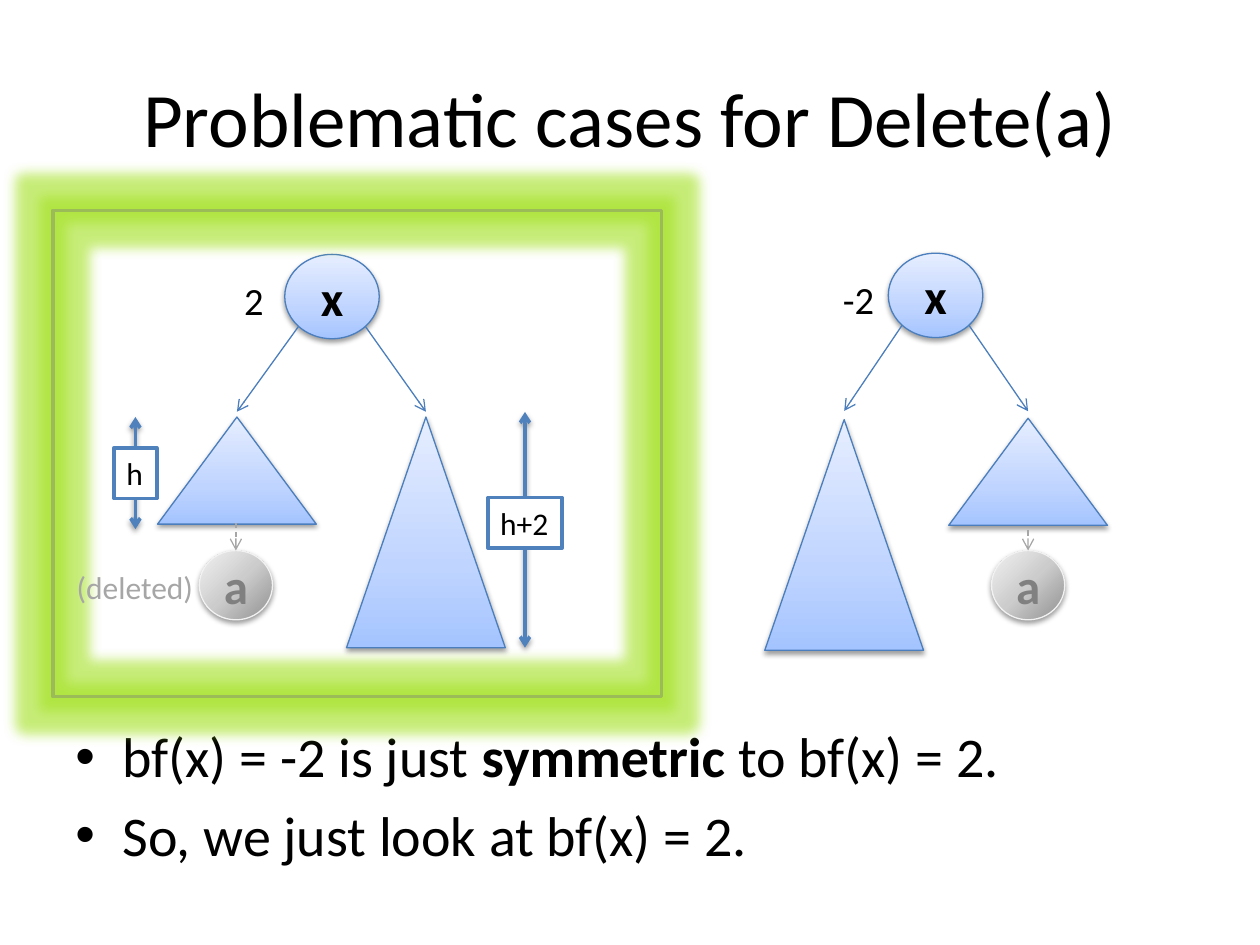
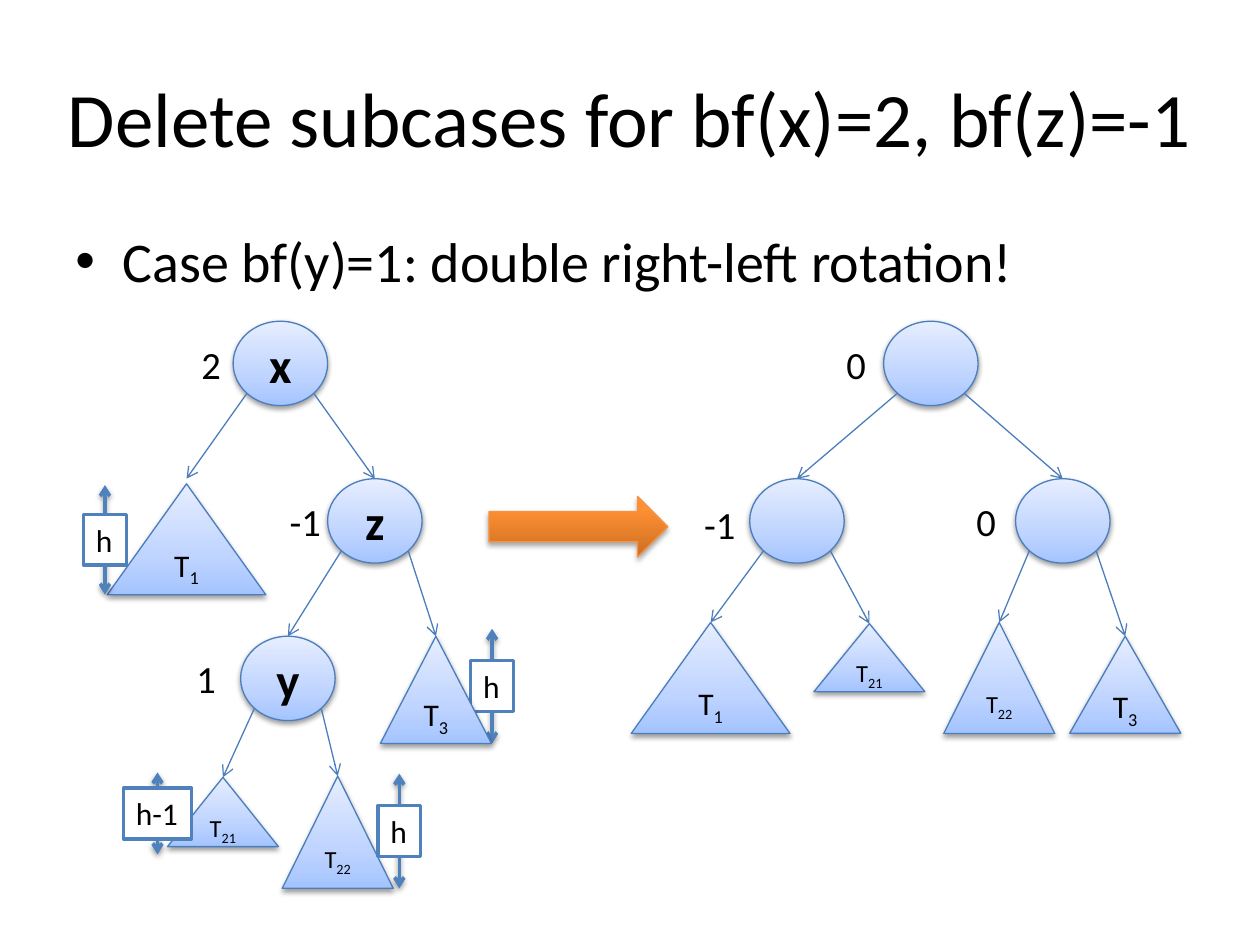
"""Build two slides on deletion cases in balanced search trees."""
from pptx import Presentation, oxml, util as u
from pptx.dml.color import RGBColor
from pptx.enum import dml, shapes, text

FONT = "Calibri"
HUES = {"ink": "000000", "paper": "FFFFFF", "edge": "4B7EBC", "bar": "4F81BD",
        "frame": "9BBB59", "glow": "A3E121", "rim": "F2F2F2", "gone": "808080",
        "faint": "A6A6A6", "arrow": "F69240"}
FADES = {"blue": (270, [(0, "A4C4FF"), (35, "BFD4FF"), (100, "E6EEFF")]),
         "grey": (225, [(0, "909090"), (50, "CCCCCC"), (100, "F2F2F2")]),
         "orange": (270, [(0, "CC6E20"), (80, "FF9034"), (100, "FF9136")])}
NODE = (54, 48.2)
GHOST = (41.8, 39.6)
CORNER = 0.1465
WIDE, SLIM = 90.7, 63.4
BOX = 29

DECK = [
    {"title": "Problematic cases for Delete(a)", "span": 648, "top": 409,
     "body": [[("bf(x) = -2 is just ", False), ("symmetric", True), (" to bf(x) = 2.", False)],
              [("So, we just look at bf(x) = 2.", False)]],
     "parts": [
         ("node", "x", 189.7, 145.4, "x"),
         ("tree", "tall", 243.4, 238.3, WIDE, 131.8),
         ("tree", "low", 135.4, 238.3, WIDE, 61.2),
         ("label", "2", 132.5, 154.8, 25.9),
         ("edge", "x", "low", 3),
         ("edge", "x", "tall", 3),
         ("bar", "h+2", 300, 235.4, 370.1, 42.5, -4),
         ("bar", "h", 77.4, 238.3, 302.4, 24.5),
         ("node", "x2", 534.6, 144.7, "x"),
         ("tree", "tall2", 482.4, 239.8, WIDE, 131.8),
         ("label", "-2", 474.5, 154.1, 32.4),
         ("tree", "low2", 587.5, 239, WIDE, 61.2),
         ("edge", "x2", "tall2", 5),
         ("edge", "x2", "low2", 4),
         ("frame", 30.2, 120.2, 347.8, 277.9),
         ("ghost", "a", 134.8, 314.6, 298.8),
         ("ghost", "a", 587.5, 314.6, 303.1),
         ("label", "(deleted)", 36.7, 321.1, 90, 18, "faint", True)]},
    {"title": "Delete subcases for bf(x)=2, bf(z)=-1", "span": 684, "top": 126,
     "body": [[("Case bf(y)=1: double right-left rotation!", False)]],
     "parts": [
         ("node", "x", 160.2, 183.6, "x"),
         ("tree", "T1", 106.6, 276.5, WIDE, 63.4, "1"),
         ("node", "z", 214.2, 273.6, "z"),
         ("label", "2", 108, 191.5, 25.9),
         ("edge", "x", "T1", 3),
         ("edge", "x", "z"),
         ("bar", "h", 281.2, 359.3, 424.8, 24.5),
         ("bar", "h", 60, 277.2, 339.8, 24.5),
         ("label", "-1", 158.4, 280.8, 32.4),
         ("tree", "T3", 249.1, 363.6, SLIM, 61.2, "3"),
         ("node", "y", 164.5, 363.6, "y"),
         ("edge", "z", "y"),
         ("edge", "z", "T3"),
         ("tree", "T22", 193, 443.5, SLIM, 64.1, "22", 14),
         ("tree", "T21", 127.4, 444.2, SLIM, 39.6, "21", 14),
         ("edge", "y", "T21"),
         ("edge", "y", "T22"),
         ("label", "1", 105.1, 370.8, 25.9),
         ("bar", "h", 228.2, 442.1, 507.6, 24.5),
         ("bar", "h-1", 90, 441.4, 488.2, 38.9),
         ("node", "root", 531.9, 183.6),
         ("node", "left", 455.4, 273.6),
         ("node", "right", 607.3, 273.6),
         ("tree", "T1b", 406.1, 355.7, WIDE, 63.4, "1"),
         ("tree", "T21b", 496.8, 356.4, SLIM, 38.9, "21", 14),
         ("tree", "T22b", 571, 355.7, SLIM, 63.4, "22", 14),
         ("tree", "T3b", 643, 363.6, SLIM, 55.4, "3"),
         ("edge", "root", "left"),
         ("edge", "root", "right"),
         ("edge", "left", "T1b"),
         ("edge", "left", "T21b"),
         ("edge", "right", "T22b"),
         ("edge", "right", "T3b"),
         ("label", "0", 476.6, 191.5, 25.9),
         ("label", "0", 550.8, 280.8, 25.9),
         ("label", "-1", 395.3, 283, 32.4),
         ("arrow", 279.4, 283.7, 102.2, 34.6)]},
]


def rgb(hue):
    return RGBColor.from_string(HUES[hue])


def pts(*sizes):
    return [u.Pt(size) for size in sizes]


def add(home, tag, attrs="", inner=""):
    space = oxml.ns.nsdecls("a")
    home.append(oxml.parse_xml(f"<a:{tag} {space} {attrs}>{inner}</a:{tag}>"))


def tint(hex6, alpha):
    return f'<a:srgbClr val="{hex6}"><a:alpha val="{alpha * 1000}"/></a:srgbClr>'


def shade(item, alpha=38, drop=1.6):
    add(item._element.spPr, "effectLst", "",
        f'<a:outerShdw blurRad="{u.Pt(3.1)}" dist="{u.Pt(drop)}" dir="5400000" '
        f'rotWithShape="0">{tint(HUES["ink"], alpha)}</a:outerShdw>')


def style(run, size, hue="ink", bold=False):
    run.font.name, run.font.size, run.font.bold = FONT, u.Pt(size), bold
    run.font.color.rgb = rgb(hue)


def outline(item, hue, width):
    item.line.color.rgb = rgb(hue)
    item.line.width = u.Pt(width)


def solid(slide, kind, left, top, wide, high, fade="blue", rim="edge", alpha=38, drop=1.6):
    item = slide.shapes.add_shape(kind, *pts(left, top, wide, high))
    angle, stops = FADES[fade]
    marks = "".join(f'<a:gs pos="{at * 1000}"><a:srgbClr val="{hue}"/></a:gs>'
                    for at, hue in stops)
    add(item._element.spPr, "gradFill", 'rotWithShape="1"',
        f'<a:gsLst>{marks}</a:gsLst><a:lin ang="{angle * 60000}" scaled="0"/>')
    outline(item, rim, 0.75)
    shade(item, alpha, drop)
    return item


def centre(item, words, size, hue="ink", bold=False):
    frame = item.text_frame
    frame.vertical_anchor = text.MSO_ANCHOR.MIDDLE
    para = frame.paragraphs[0]
    para.alignment = text.PP_ALIGN.CENTER
    for word in words:
        run = para.add_run()
        run.text = word
        style(run, size, hue, bold)
    return para


def link(slide, ends, hue="edge", width=0.75, both=False, dash=False):
    line = slide.shapes.add_connector(shapes.MSO_CONNECTOR.STRAIGHT, *pts(*ends))
    outline(line, hue, width)
    if dash:
        line.line.dash_style = dml.MSO_LINE.DASH
    for tag in ("headEnd", "tailEnd") if both else ("tailEnd",):
        add(line.line._get_or_add_ln(), tag, 'type="arrow"')
    if both:
        shade(line)
    else:
        add(line._element.spPr, "effectLst")


def node(slide, spots, name, mid, top, word=""):
    spots[name] = (mid, top)
    item = solid(slide, shapes.MSO_SHAPE.OVAL, mid - NODE[0] / 2, top, *NODE)
    if word:
        centre(item, [word], 28, bold=True)


def ghost(slide, spots, word, mid, top, start):
    item = solid(slide, shapes.MSO_SHAPE.OVAL, mid - GHOST[0] / 2, top, *GHOST, "grey", "rim")
    centre(item, [word], 28, "gone", True)
    link(slide, (mid, start, mid, top), "faint", dash=True)


def tree(slide, spots, name, mid, top, wide, high, index="", size=18):
    spots[name] = (mid, top)
    item = solid(slide, shapes.MSO_SHAPE.ISOSCELES_TRIANGLE, mid - wide / 2, top, wide, high)
    if index:
        para = centre(item, ["T", index], size)
        para.runs[1].font._element.set("baseline", "-25000")


def edge(slide, spots, parent, child, gap=0):
    (mid, top), (tip, end) = spots[parent], spots[child]
    side = 1 if tip > mid else -1
    start = mid + side * NODE[0] * (0.5 - CORNER)
    link(slide, (start, top + NODE[1] * (1 - CORNER), tip, end - gap))


def label(slide, spots, word, left, top, wide, size=22, hue="ink", wrap=False):
    high = 33.9 if size == 22 else BOX
    item = slide.shapes.add_textbox(*pts(left, top, wide, high))
    frame = item.text_frame
    frame.text = word
    frame.word_wrap = wrap
    frame.auto_size = text.MSO_AUTO_SIZE.SHAPE_TO_FIT_TEXT
    style(frame.paragraphs[0].runs[0], size, hue)
    return item


def bar(slide, spots, word, mid, top, end, wide, shift=0):
    link(slide, (mid, top, mid, end), "bar", 2, both=True)
    item = label(slide, spots, word, mid - wide / 2, (top + end - BOX) / 2 + shift, wide, 18)
    item.fill.solid()
    item.fill.fore_color.rgb = rgb("paper")
    outline(item, "bar", 2)


def frame(slide, spots, *place):
    item = slide.shapes.add_shape(shapes.MSO_SHAPE.RECTANGLE, *pts(*place))
    item.fill.background()
    outline(item, "frame", 2)
    add(item._element.spPr, "effectLst", "",
        f'<a:glow rad="{u.Pt(14)}">{tint(HUES["glow"], 60)}</a:glow>')


def arrow(slide, spots, *place):
    solid(slide, shapes.MSO_SHAPE.RIGHT_ARROW, *place, "orange", "arrow", 35, 1.8)


def head(slide, words, span):
    item = slide.shapes.add_textbox(*pts((720 - span) / 2, 21.6, span, 90))
    item.text_frame.word_wrap = True
    centre(item, [words], 44)


def points(slide, rows, top):
    item = slide.shapes.add_textbox(*pts(36, top, 648, 48 * len(rows)))
    block = item.text_frame
    block.word_wrap = True
    for at, row in enumerate(rows):
        para = block.add_paragraph() if at else block.paragraphs[0]
        para.space_before = u.Pt(6.4)
        props = para._p.get_or_add_pPr()
        props.set("marL", str(u.Pt(27)))
        props.set("indent", str(-u.Pt(27)))
        add(props, "buFont", 'typeface="Arial"')
        add(props, "buChar", 'char="•"')
        for words, bold in row:
            run = para.add_run()
            run.text = words
            style(run, 32, bold=bold)


DRAW = {"node": node, "ghost": ghost, "tree": tree, "edge": edge, "label": label,
        "bar": bar, "frame": frame, "arrow": arrow}

show = Presentation()
show.slide_width, show.slide_height = pts(720, 540)
for page in DECK:
    slide = show.slides.add_slide(show.slide_layouts[6])
    head(slide, page["title"], page["span"])
    points(slide, page["body"], page["top"])
    spots = {}
    for kind, *args in page["parts"]:
        DRAW[kind](slide, spots, *args)
show.save("out.pptx")
